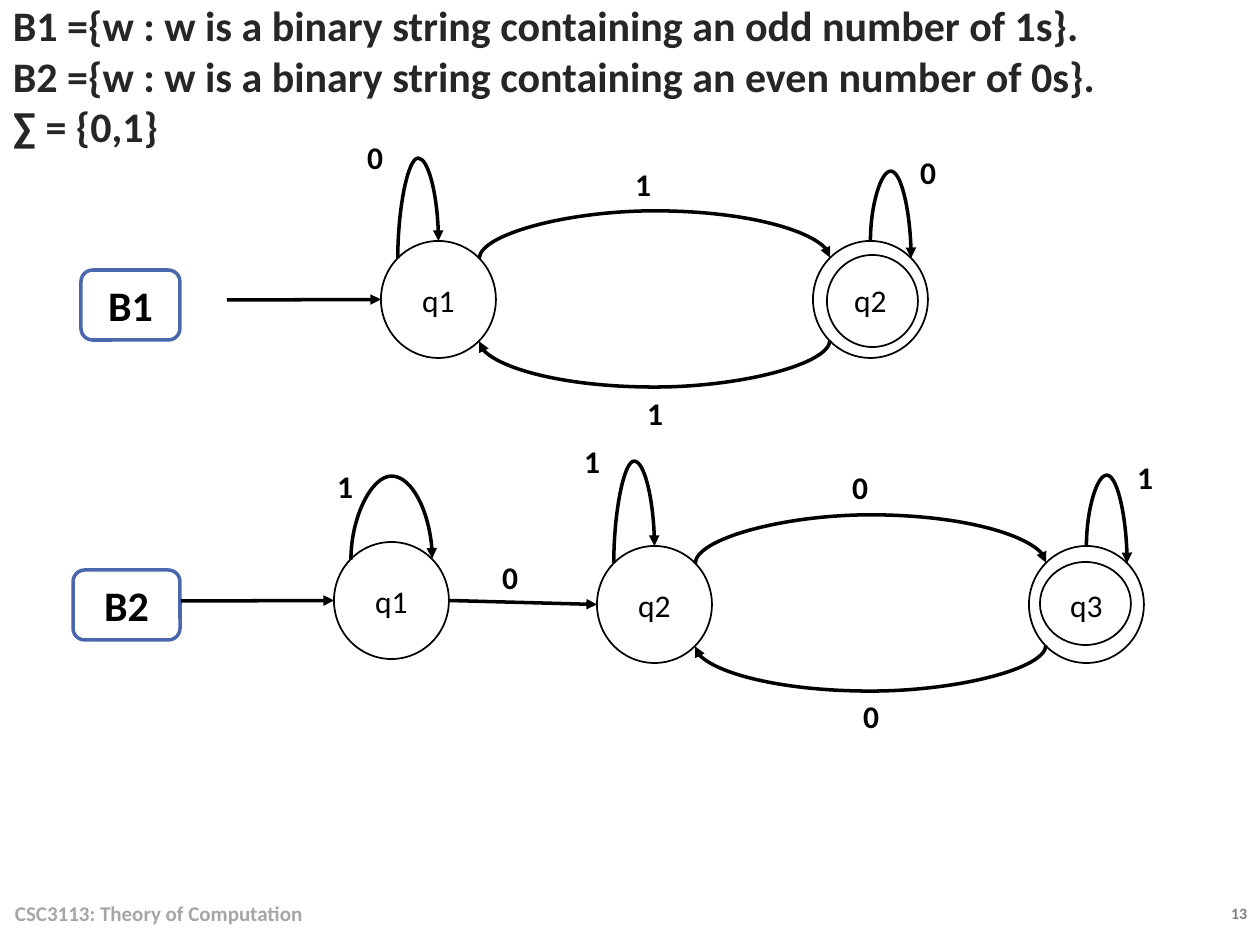
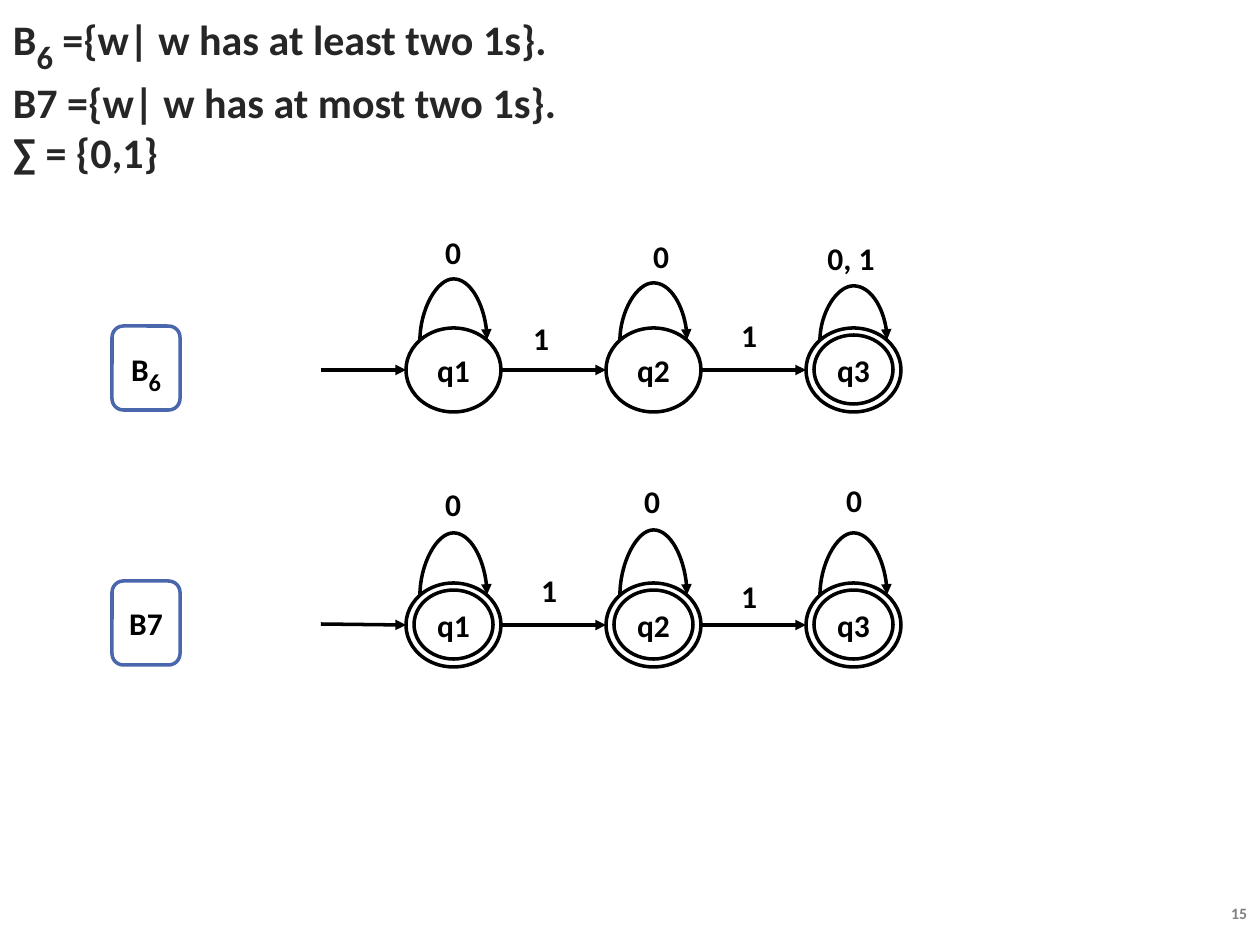
from dataclasses import dataclass
from math import cos, pi, sin
from typing import Optional

from lxml import etree
from pptx import Presentation
from pptx.dml.color import RGBColor
from pptx.enum.shapes import MSO_CONNECTOR, MSO_SHAPE
from pptx.enum.text import MSO_ANCHOR, PP_ALIGN
from pptx.oxml.ns import qn
from pptx.util import Emu, Pt

OVAL, ROUND = MSO_SHAPE.OVAL, MSO_SHAPE.ROUNDED_RECTANGLE
STRAIGHT, CURVE = MSO_CONNECTOR.STRAIGHT, MSO_CONNECTOR.CURVE
LEFT, CENTER, RIGHT = PP_ALIGN.LEFT, PP_ALIGN.CENTER, PP_ALIGN.RIGHT
TOP, MIDDLE = MSO_ANCHOR.TOP, MSO_ANCHOR.MIDDLE

SCALE = 914400 / 126
WIDE, HIGH = 1260, 945
FONT = "Calibri"
COLORS = {
    "ink": "000000", "paper": "FFFFFF", "title": "262626",
    "frame": "4A66AC", "course": "A6A6A6", "page": "808080",
}

# Connection sites of an ellipse, counter-clockwise from the top
N, NW, W, SW, S, SE, E, NE = range(8)

Point = tuple[float, float]
Box = tuple[int, int, int, int]


@dataclass
class State:
    name: str
    box: Box
    ring: Optional[Box] = None  # inner circle, measured from the box corner

    def site(self, idx: int) -> Point:
        x, y, w, h = self.box
        turn = pi / 2 + idx * pi / 4
        return x + w / 2 * (1 + cos(turn)), y + h / 2 * (1 - sin(turn))


@dataclass
class Arrow:
    """Move between two states; with an apex height it is a curve."""
    src: int
    dst: int
    out: int = E
    into: int = W
    apex: Optional[int] = None


@dataclass
class Label:
    text: str
    x: int
    y: int


@dataclass
class Machine:
    tag: str
    frame: Box
    start: Point
    states: list[State]
    arrows: list[Arrow]
    labels: list[Label]


@dataclass
class Page:
    number: int
    title: list[str]
    machines: list[Machine]
    tag_size: int
    line: int
    bold: bool
    tall: int  # label height
    course: str = ""


def px(val: float) -> Emu:
    return Emu(round(val * SCALE))


def color(name: str) -> RGBColor:
    return RGBColor.from_string(COLORS[name])


def write(shape, lines: list[str], size: int, ink: str = "ink", bold: bool = True,
          align=CENTER, anchor=MIDDLE, inset: int = 0) -> None:
    """Fill a shape with paragraphs; the letter after "_" is a subscript."""
    frame = shape.text_frame
    form = {"word_wrap": True, "vertical_anchor": anchor, "margin_left": px(inset),
            "margin_right": px(inset), "margin_top": 0, "margin_bottom": 0}
    for key, val in form.items():
        setattr(frame, key, val)
    for i, line in enumerate(lines):
        para = frame.add_paragraph() if i else frame.paragraphs[0]
        para.alignment = align
        head, _, rest = line.partition("_")
        for text, sub in ((head, False), (rest[:1], True), (rest[1:], False)):
            if not text:
                continue
            run = para.add_run()
            run.text = text
            look = {"name": FONT, "size": Pt(size * 4 // 3 if sub else size), "bold": bold}
            for key, val in look.items():
                setattr(run.font, key, val)
            run.font.color.rgb = color(ink)
            if sub:
                run._r.get_or_add_rPr().set("baseline", "-25000")


def add_text(slide, box: Box, lines: list[str], size: int, **form) -> None:
    write(slide.shapes.add_textbox(*map(px, box)), lines, size, **form)


def add_form(slide, kind, box: Box, line: str, width: int, fill: bool = True):
    shape = slide.shapes.add_shape(kind, *map(px, box))
    shape.shadow.inherit = False
    if fill:
        shape.fill.solid()
        shape.fill.fore_color.rgb = color("paper")
    else:
        shape.fill.background()
    shape.line.color.rgb = color(line)
    shape.line.width = Pt(width)
    return shape


def add_state(slide, state: State, page: Page):
    shape = add_form(slide, OVAL, state.box, "ink", page.line)
    write(shape, [state.name], 18, bold=page.bold)
    if state.ring:
        x, y = state.box[:2]
        dx, dy, w, h = state.ring
        add_form(slide, OVAL, (x + dx, y + dy, w, h), "ink", page.line, fill=False)
    return shape


def add_line(slide, kind, start: Point, end: Point):
    line = slide.shapes.add_connector(kind, *map(px, (*start, *end)))
    line.line.color.rgb = color("ink")
    line.line.width = Pt(2)
    props = line._element.spPr
    etree.SubElement(props.find(qn("a:ln")), qn("a:tailEnd"), type="triangle")
    etree.SubElement(props, qn("a:effectLst"))
    return line


def join(line, end: str, shape, idx: int) -> None:
    """Tie a line end to any of the eight sites of an ellipse."""
    holder = line._element.find(qn("p:nvCxnSpPr")).find(qn("p:cNvCxnSpPr"))
    etree.SubElement(holder, qn(end), id=str(shape.shape_id), idx=str(idx))


def bend(line, start: Point, end: Point, apex: int) -> None:
    """Turn a curve upright so that its middle reaches the apex height."""
    (x1, y1), (x2, y2) = start, end
    rise = y2 - y1
    if abs(rise) < 1:
        rise = -1 if x2 > x1 else 1
    w, h = abs(rise), abs(x2 - x1)
    spot = {"left": (x1 + x2 - w) / 2, "top": (y1 + y2 - h) / 2, "width": w, "height": h}
    for key, val in spot.items():
        setattr(line, key, px(val))
    right, down = x2 > x1, rise > 0
    form = line._element.spPr.find(qn("a:xfrm"))
    turn = {"rot": str((270 if right and down else 90) * 60000),
            "flipH": str(int(right)), "flipV": str(int(right and not down))}
    for key, val in turn.items():
        form.set(key, val)
    geom = line._element.spPr.find(qn("a:prstGeom"))
    guides = geom.find(qn("a:avLst"))
    if guides is None:
        guides = etree.SubElement(geom, qn("a:avLst"))
    ratio = round((apex - y1) / rise * 100000)
    etree.SubElement(guides, qn("a:gd"), name="adj1", fmla=f"val {ratio}")


def add_machine(slide, mach: Machine, page: Page) -> None:
    for label in mach.labels:
        box = (label.x, label.y, 82, page.tall)
        add_text(slide, box, [label.text], 18)
    write(add_form(slide, ROUND, mach.frame, "frame", 2), [mach.tag], page.tag_size)
    nodes = [add_state(slide, state, page) for state in mach.states]
    entry = add_line(slide, STRAIGHT, mach.start, mach.states[0].site(W))
    join(entry, "a:endCxn", nodes[0], W)
    for arrow in mach.arrows:
        start = mach.states[arrow.src].site(arrow.out)
        end = mach.states[arrow.dst].site(arrow.into)
        line = add_line(slide, CURVE if arrow.apex else STRAIGHT, start, end)
        join(line, "a:stCxn", nodes[arrow.src], arrow.out)
        join(line, "a:endCxn", nodes[arrow.dst], arrow.into)
        if arrow.apex:
            bend(line, start, end, arrow.apex)


def add_page(deck, page: Page) -> None:
    slide = deck.slides.add_slide(deck.slide_layouts[6])
    add_text(slide, (1100, 904, 160, 26), [str(page.number)], 9,
             ink="page", align=RIGHT, anchor=TOP, inset=13)
    if page.course:
        add_text(slide, (2, 888, 844, 51), [page.course], 12,
                 ink="course", align=LEFT, inset=13)
    add_text(slide, (0, 0, 1147, 151), page.title, 24,
             ink="title", align=LEFT, anchor=TOP, inset=13)
    for mach in page.machines:
        add_machine(slide, mach, page)


def circle(name: str, x: int, y: int, ring: Optional[Box] = None) -> State:
    return State(name, (x, y, 115, 117), ring)


def swap(a: int, b: int, top: int) -> list[Arrow]:
    """Moves there and back, with the loops left to the caller."""
    return [Arrow(a, b, NE, NW, top), Arrow(b, a, SW, SE, top + 178)]


def chain(tag: str, top: int, start: Point, final: set[int], peaks: list[int],
          labels: list[Label]) -> Machine:
    """Three states in a row, each with a loop on top."""
    states = [State(f"q{i + 1}", (406 + 200 * i, top, 95, 84),
                    (8, 7, 79, 69) if i in final else None) for i in range(3)]
    loops = [Arrow(i, i, NW, NE, peak) for i, peak in enumerate(peaks)]
    frame = (112, top - top // 300 * 2, 68, 84)
    return Machine(tag, frame, start, states, [Arrow(0, 1), Arrow(1, 2)] + loops, labels)


ODD = Machine(
    "B1", (81, 270, 99, 70), (227, 300),
    [circle("q1", 381, 241), circle("q2", 813, 241, (14, 14, 91, 92))],
    swap(0, 1, 210) + [Arrow(0, 0, NW, N, 158), Arrow(1, 1, N, NE, 171)],
    [Label("0", 334, 131), Label("1", 614, 387), Label("0", 887, 146), Label("1", 602, 158)],
)
EVEN = Machine(
    "B2", (73, 570, 107, 70), (181, 601),
    [circle("q1", 334, 542), circle("q2", 597, 546),
     circle("q3", 1029, 546, (11, 16, 91, 83))],
    [Arrow(0, 1), *swap(1, 2, 514), Arrow(0, 0, NW, NE, 475),
     Arrow(1, 1, NW, N, 461), Arrow(2, 2, N, NE, 475)],
    [Label("1", 304, 460), Label("0", 469, 551), Label("1", 551, 435),
     Label("0", 830, 690), Label("1", 1104, 451), Label("0", 819, 461)],
)
LEAST = chain(
    "B_6", 328, (321, 370), {2}, [278, 282, 285],
    [Label("0", 412, 223), Label("1", 500, 309), Label("0", 620, 227),
     Label("1", 708, 306), Label("0, 1", 810, 229)],
)
MOST = chain(
    "B7", 583, (321, 624), {0, 1, 2}, [532, 529, 532],
    [Label("0", 412, 475), Label("1", 508, 561), Label("0", 611, 472),
     Label("1", 708, 567), Label("0", 813, 471)],
)
PAGES = [
    Page(13, ["B1 ={w : w is a binary string containing an odd number of 1s}.",
              "B2 ={w : w is a binary string containing an even number of 0s}.",
              "∑ = {0,1}"],
         [ODD, EVEN], 24, 1, False, 52, "CSC3113: Theory of Computation"),
    Page(15, ["B_6 ={w| w has at least two 1s}.", "B7 ={w| w has at most two 1s}.",
              "∑ = {0,1}"],
         [LEAST, MOST], 18, 2, True, 57),
]


def main() -> None:
    deck = Presentation()
    deck.slide_width, deck.slide_height = px(WIDE), px(HIGH)
    for page in PAGES:
        add_page(deck, page)
    deck.save("out.pptx")


if __name__ == "__main__":
    main()
